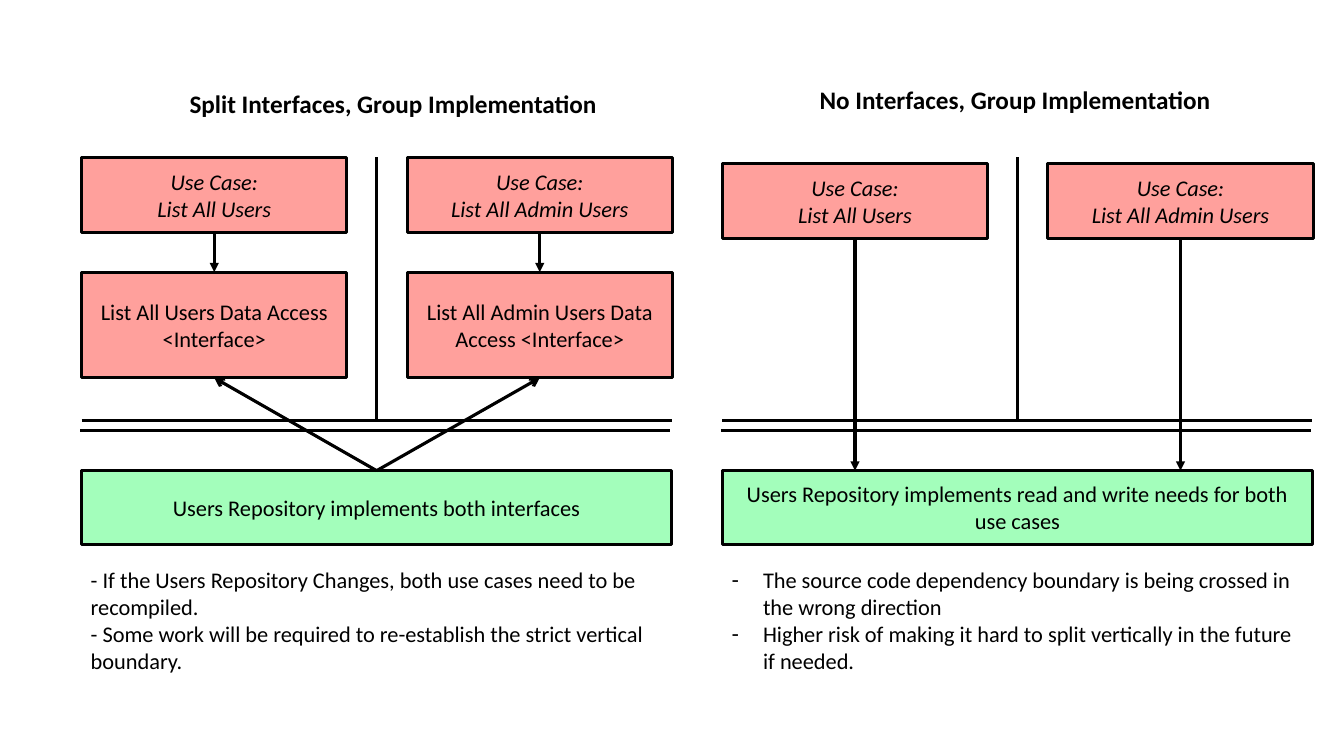
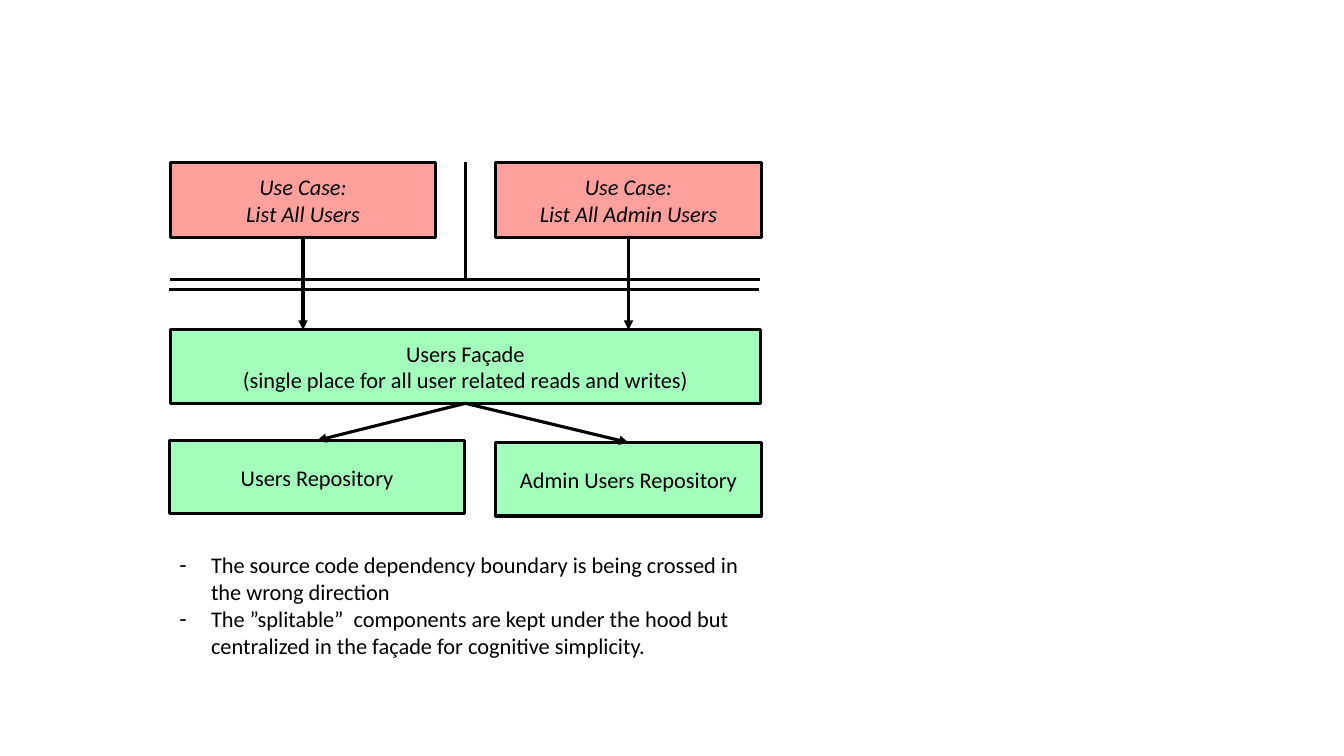
"""Build two slides comparing ways to place a repository behind a code boundary."""
from lxml import etree
from pptx import Presentation
from pptx.dml.color import RGBColor
from pptx.enum.shapes import MSO_CONNECTOR, MSO_SHAPE
from pptx.enum.text import MSO_ANCHOR, MSO_AUTO_SIZE, PP_ALIGN
from pptx.oxml.ns import qn
from pptx.util import Pt

RECTANGLE = MSO_SHAPE.RECTANGLE
STRAIGHT = MSO_CONNECTOR.STRAIGHT
LEFT, CENTER = PP_ALIGN.LEFT, PP_ALIGN.CENTER
TOP, MIDDLE = MSO_ANCHOR.TOP, MSO_ANCHOR.MIDDLE
NO_AUTOFIT = MSO_AUTO_SIZE.NONE

FONT = "Calibri"
INK, BUSINESS, STORAGE = "000000", "FFA09C", "A3FEBB"
LINE_WIDTH = 2.25
PANEL_WIDTH = 421.5
CASE_HEIGHT, INTERFACE_HEIGHT, STORE_HEIGHT = 53.5, 75.5, 52.5
NOTES_HEIGHT, HEADING_HEIGHT = 85, 29
BOUNDARY_GAP, STORE_DROP = 7.4, 36
HANGING = 22.5
COLUMNS = {"left": (0, 189.5), "right": (232.5, 189.5),
           "wide left": (-0.7, 211), "full": (0, PANEL_WIDTH)}
USE_CASES = {"left": "Use Case:\vList All Users",
             "right": "Use Case:\vList All Admin Users"}

WRONG_DIRECTION = "The source code dependency boundary is being crossed in the wrong direction"
SPLIT_INTERFACES = {
    "left": 58.3, "cases_top": 112.3, "divider_top": 112.3, "boundary": 300.2,
    "heading": ("Split Interfaces, Group Implementation", 128.2, 59.8, 307.4),
    "store": "Users Repository implements both interfaces",
    "interfaces": [("List All Users Data Access <Interface>", "left", 194.4),
                   ("List All Admin Users Data Access <Interface>", "right", 194.4)],
    "notes_top": 401, "bullet": None,
    "notes": ["- If the Users Repository Changes, both use cases need to be recompiled.",
              "- Some work will be required to re-establish the strict vertical boundary."],
}
NO_INTERFACES = {
    "left": 516, "cases_top": 116.6, "divider_top": 112.3, "boundary": 300.2,
    "heading": ("No Interfaces, Group Implementation", 578.2, 56.6, 295.9),
    "store": "Users Repository implements read and write needs for both use cases",
    "notes_top": 401, "bullet": "-",
    "notes": [WRONG_DIRECTION,
              "Higher risk of making it hard to split vertically in the future if needed."],
}
FACADE = {
    "left": 121.7, "cases_top": 115.9, "divider_top": 115.9, "boundary": 199.6,
    "store": "Users Façade\v(single place for all user related reads and writes)",
    "repositories": [("Users Repository", "wide left", 314.6),
                     ("Admin Users Repository", "right", 316.1)],
    "notes_top": 390.2, "bullet": "-",
    "notes": [WRONG_DIRECTION,
              "The ”splitable”  components are kept under the hood but centralized "
              "in the façade for cognitive simplicity."],
}
COMPARISON_LAYOUT, CONTENT_LAYOUT = 4, 1
SLIDES = [(COMPARISON_LAYOUT, [SPLIT_INTERFACES, NO_INTERFACES]),
          (CONTENT_LAYOUT, [FACADE])]


def color(hex_string):
    return RGBColor.from_string(hex_string)


def style(paragraph, size=16, align=LEFT, bold=False, italic=False):
    paragraph.alignment = align
    paragraph.space_before = Pt(0)
    font = paragraph.font
    font.name, font.size, font.bold, font.italic = FONT, Pt(size), bold, italic
    font.color.rgb = color(INK)


def set_bullet(paragraph, bullet):
    properties = paragraph._p.get_or_add_pPr()
    indent = Pt(HANGING) if bullet else 0
    properties.set("marL", str(indent))
    properties.set("indent", str(-indent))
    if bullet:
        etree.SubElement(properties, qn("a:buChar")).set("char", bullet)
    else:
        etree.SubElement(properties, qn("a:buNone"))


def place(placeholder, left, top, width, height):
    placeholder.left, placeholder.top = Pt(left), Pt(top)
    placeholder.width, placeholder.height = Pt(width), Pt(height)
    frame = placeholder.text_frame
    frame.auto_size = NO_AUTOFIT
    frame.vertical_anchor = TOP
    return frame


def add_box(slide, panel, text, column, top, height, fill, italic=False):
    offset, width = COLUMNS[column]
    box = slide.shapes.add_shape(RECTANGLE, Pt(panel["left"] + offset), Pt(top),
                                 Pt(width), Pt(height))
    box.shadow.inherit = False
    box.fill.solid()
    box.fill.fore_color.rgb = color(fill)
    box.line.color.rgb = color(INK)
    box.line.width = Pt(LINE_WIDTH)
    box.text_frame.vertical_anchor = MIDDLE
    box.text_frame.text = text
    style(box.text_frame.paragraphs[0], align=CENTER, italic=italic)


def add_line(slide, start, end, head=None):
    line = slide.shapes.add_connector(STRAIGHT, *map(Pt, (*start, *end)))
    line.line.color.rgb = color(INK)
    line.line.width = Pt(LINE_WIDTH)
    if head:
        etree.SubElement(line.line._get_or_add_ln(), qn("a:tailEnd")).set("type", head)
    etree.SubElement(line._element.spPr, qn("a:effectLst"))


def column_center(panel, column):
    offset, width = COLUMNS[column]
    return panel["left"] + offset + width / 2


def draw_boundary(slide, panel):
    left, boundary = panel["left"], panel["boundary"]
    middle = column_center(panel, "full")
    add_line(slide, (middle, panel["divider_top"]), (middle, boundary))
    for shift, y in ((0, boundary), (-1, boundary + BOUNDARY_GAP)):
        add_line(slide, (left + shift, y), (left + shift + PANEL_WIDTH, y))


def draw_panel(slide, panel):
    store_top = panel["boundary"] + STORE_DROP
    store_bottom = store_top + STORE_HEIGHT
    cases_top = panel["cases_top"]
    middle = column_center(panel, "full")
    interfaces = panel.get("interfaces", [])
    target_top = interfaces[0][2] if interfaces else store_top

    add_box(slide, panel, panel["store"], "full", store_top, STORE_HEIGHT, STORAGE)
    draw_boundary(slide, panel)
    for column, text in USE_CASES.items():
        add_box(slide, panel, text, column, cases_top, CASE_HEIGHT, BUSINESS, italic=True)
        x = column_center(panel, column)
        add_line(slide, (x, cases_top + CASE_HEIGHT), (x, target_top), "triangle")
    for text, column, top in interfaces:
        add_box(slide, panel, text, column, top, INTERFACE_HEIGHT, BUSINESS)
        add_line(slide, (middle, store_top),
                 (column_center(panel, column), top + INTERFACE_HEIGHT), "arrow")
    for text, column, top in panel.get("repositories", []):
        add_box(slide, panel, text, column, top, STORE_HEIGHT, STORAGE)
        add_line(slide, (middle, store_bottom),
                 (column_center(panel, column), top), "triangle")


def fill_text(panel, placeholders):
    if "heading" in panel:
        text, left, top, width = panel["heading"]
        frame = place(next(placeholders), left, top, width, HEADING_HEIGHT)
        frame.word_wrap = False
        frame.text = text
        style(frame.paragraphs[0], size=18, bold=True)
    frame = place(next(placeholders), panel["left"] - 0.7, panel["notes_top"],
                  PANEL_WIDTH, NOTES_HEIGHT)
    frame.text = "\n".join(panel["notes"])
    for paragraph in frame.paragraphs:
        set_bullet(paragraph, panel["bullet"])
        style(paragraph)


def main():
    deck = Presentation()
    deck.slide_width, deck.slide_height = Pt(960), Pt(540)
    for layout, panels in SLIDES:
        slide = deck.slides.add_slide(deck.slide_layouts[layout])
        title = slide.shapes.title.element
        title.getparent().remove(title)
        placeholders = iter(list(slide.placeholders))
        for panel in panels:
            fill_text(panel, placeholders)
            draw_panel(slide, panel)
    deck.save("out.pptx")


if __name__ == "__main__":
    main()
